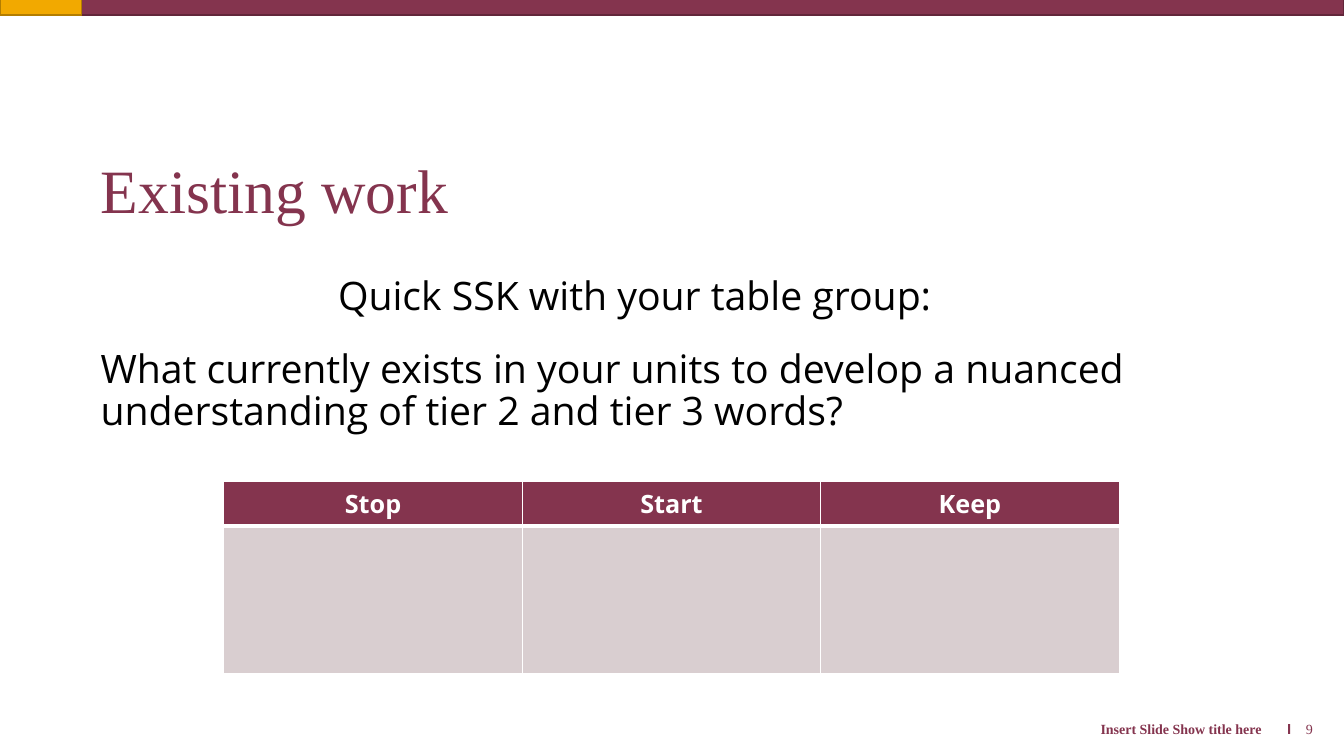
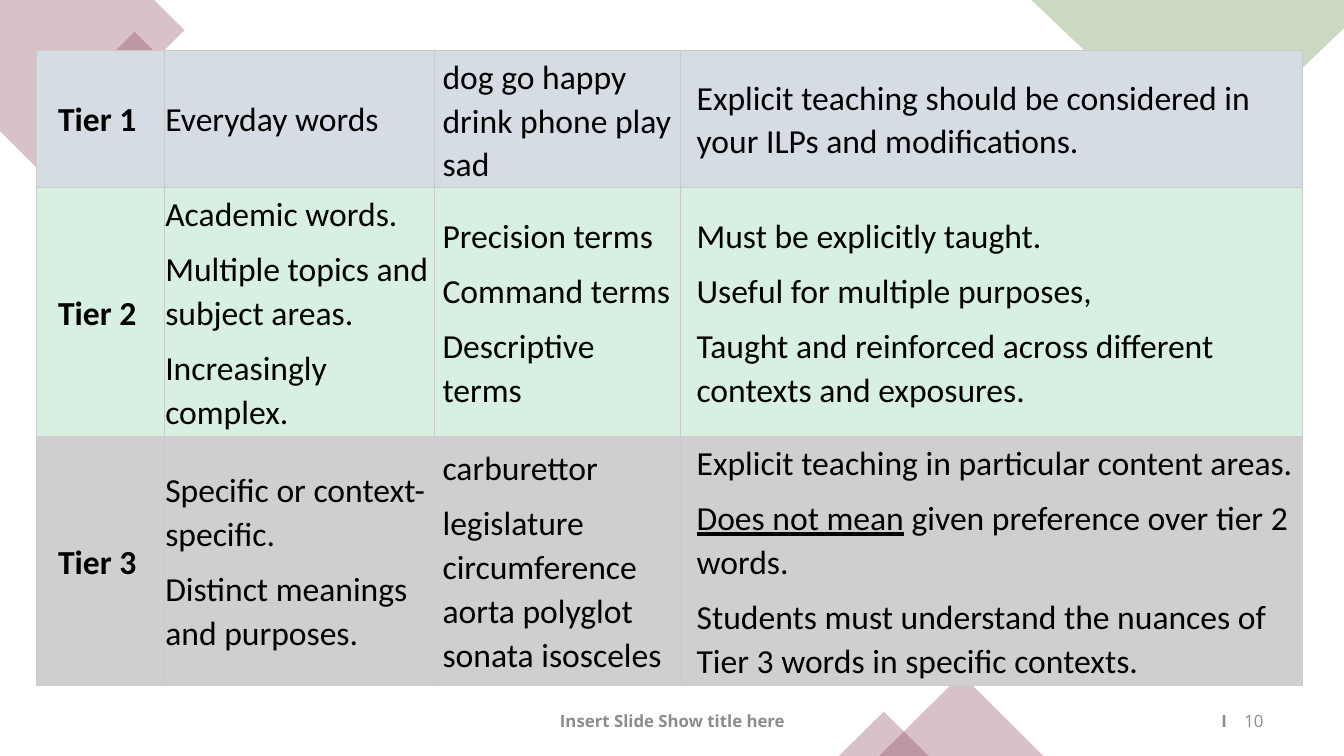
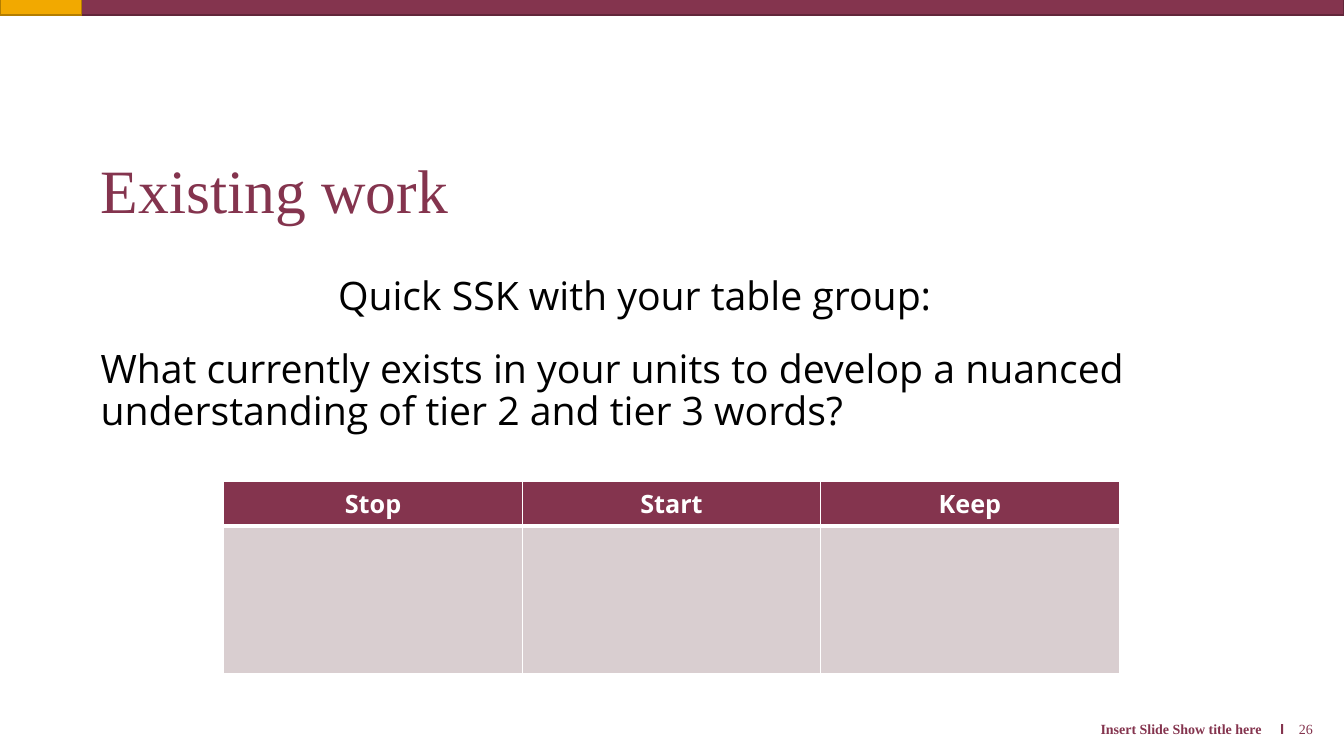
"""Build three slides on tiered vocabulary: two discussion prompts and a tier overview."""
from dataclasses import dataclass, replace

from lxml.etree import SubElement
from pptx import Presentation
from pptx.dml.color import RGBColor
from pptx.enum.shapes import MSO_SHAPE as Shape
from pptx.enum.text import MSO_ANCHOR as Anchor, PP_ALIGN as Align
from pptx.oxml.ns import qn
from pptx.util import Inches, Pt


@dataclass(frozen=True)
class Theme:
    plum: str = "84344E"
    plum_edge: str = "62263A"
    gold: str = "F2A900"
    gold_edge: str = "B37D00"
    green: str = "538135"
    rose: str = "D9CED0"
    white: str = "FFFFFF"
    black: str = "000000"
    grey: str = "8C8C8C"
    rule: str = "C8CACC"
    serif: str = "Times New Roman"
    sans: str = "Open Sans"
    table_font: str = "Calibri"
    title: int = 44
    body: int = 28
    cell: int = 24
    heading: int = 18
    footer: int = 10
    footer_large: int = 12
    tint: int = 30


@dataclass(frozen=True)
class Style:
    font: str
    size: int
    color: str
    bold: bool = False
    underline: bool = False
    tracking: float = 0


@dataclass(frozen=True)
class Layout:
    align: Align = Align.LEFT
    line: float = 1.0
    before: int = 0
    after: int = 0


THEME = Theme()
FOOTER = "Insert Slide Show title here"
TITLE = "Existing work"
PROMPT = [
    ("Quick SSK with your table group:", Align.CENTER),
    ("What currently exists in your units to develop a nuanced "
     "understanding of tier 2 and tier 3 words?", Align.LEFT),
]
CHOICES = ["Stop", "Start", "Keep"]
UNDERLINED = "Does not mean"
TIERS = [
    ("D6DCE4", [
        ["Tier 1"],
        ["Everyday words"],
        ["dog go happy drink phone play sad"],
        ["Explicit teaching should be considered in your ILPs and modifications."],
    ]),
    ("D8F0E1", [
        ["Tier 2"],
        ["Academic words.", "Multiple topics and subject areas.", "Increasingly complex."],
        ["Precision terms", "Command terms", "Descriptive terms"],
        ["Must be explicitly taught.", "Useful for multiple purposes,",
         "Taught and reinforced across different contexts and exposures."],
    ]),
    ("D0CECE", [
        ["Tier 3"],
        ["Specific or context-specific.", "Distinct meanings and purposes."],
        ["carburettor", "legislature circumference aorta polyglot sonata isosceles"],
        ["Explicit teaching in particular content areas.",
         "Does not mean given preference over tier 2 words.",
         "Students must understand the nuances of Tier 3 words in specific contexts."],
    ]),
]
TIER_COLUMNS = [1.27, 2.68, 2.44, 6.17]
TIER_ROWS = [1.36, 2.47, 2.47]
TIER_INDENTS = [0.01, 0.01, 0.08, 0.16]
CORNERS = [
    (THEME.plum, [(0, 0), (1.53, 0), (1.83, 0.3), (0.41, 1.71), (0, 1.3)]),
    (THEME.green, [(10.23, 0), (13.33, 0), (13.33, 0.28), (11.93, 1.62)]),
]
TRIANGLES = [(8.72, 6.69, 1.63, 0.81), (8.32, 7.06, 0.89, 0.44)]


def rgb(color):
    return RGBColor.from_string(color)


def lengths(values):
    return [Inches(value) for value in values]


def paint(shape, color, edge=None, opacity=100):
    shape.shadow.inherit = False
    shape.fill.solid()
    shape.fill.fore_color.rgb = rgb(color)
    if opacity < 100:
        tone = shape.fill._xPr.find(qn("a:solidFill"))[0]
        SubElement(tone, qn("a:alpha")).set("val", str(opacity * 1000))
    if edge:
        shape.line.color.rgb = rgb(edge)
        shape.line.width = Pt(1)
    else:
        shape.line.fill.background()


def write(frame, paragraphs):
    for index, (layout, spans) in enumerate(paragraphs):
        para = frame.add_paragraph() if index else frame.paragraphs[0]
        para.alignment = layout.align
        para.line_spacing = layout.line
        para.space_before = Pt(layout.before if index else 0)
        para.space_after = Pt(layout.after)
        for text, style in spans:
            span = para.add_run()
            span.text = text
            span.font.name = style.font
            span.font.size = Pt(style.size)
            span.font.bold = style.bold
            span.font.underline = style.underline
            span.font.color.rgb = rgb(style.color)
            if style.tracking:
                span._r.get_or_add_rPr().set("spc", str(round(style.tracking * 100)))


def add_text(page, at, anchor, paragraphs):
    frame = page.shapes.add_textbox(*lengths(at)).text_frame
    frame.word_wrap = True
    frame.vertical_anchor = anchor
    write(frame, paragraphs)


def add_footer(page, number, title_at, number_at, title_align, title_style, number_font):
    add_text(page, title_at, Anchor.MIDDLE, [(Layout(title_align), [(FOOTER, title_style)])])
    divider = replace(title_style, font=THEME.sans, tracking=1.04 * title_style.size)
    digits = replace(title_style, font=number_font, bold=False)
    add_text(page, number_at, Anchor.MIDDLE,
             [(Layout(Align.RIGHT), [("I", divider), (str(number), digits)])])


def add_grid(page, left, top, columns, rows):
    size = lengths((left, top, sum(columns), sum(rows)))
    table = page.shapes.add_table(len(rows), len(columns), *size).table
    table.first_row = table.horz_banding = False
    for column, width in zip(table.columns, columns):
        column.width = Inches(width)
    for row, height in zip(table.rows, rows):
        row.height = Inches(height)
    return table


def dress(cell, fill, border, top=1, bottom=1):
    properties = cell._tc.get_or_add_tcPr()
    for side, width in (("L", 1), ("R", 1), ("T", top), ("B", bottom)):
        line = SubElement(properties, qn(f"a:ln{side}"), w=str(Pt(width)))
        SubElement(SubElement(line, qn("a:solidFill")), qn("a:srgbClr"), val=border)
    cell.fill.solid()
    cell.fill.fore_color.rgb = rgb(fill)


def add_bands(page):
    for left, width, fill, edge in ((0.01, 13.32, THEME.plum, THEME.plum_edge),
                                    (0, 0.81, THEME.gold, THEME.gold_edge)):
        band = page.shapes.add_shape(Shape.RECTANGLE, *lengths((left, -0.02, width, 0.17)))
        paint(band, fill, edge)


def add_prompt_page(page, number):
    add_bands(page)
    title = Style(THEME.serif, THEME.title, THEME.plum)
    add_text(page, (0.9, 0.73, 10.79, 1.57), Anchor.BOTTOM,
             [(Layout(line=0.9), [(TITLE, title)])])
    body = Style(THEME.sans, THEME.body, THEME.black)
    add_text(page, (0.9, 2.41, 10.79, 2.23), Anchor.MIDDLE,
             [(Layout(align, 0.9, 10, 12), [(text, body)]) for text, align in PROMPT])
    add_footer(page, number, (0.21, 7.13, 12.4, 0.21), (12.55, 7.13, 0.57, 0.21),
               Align.RIGHT, Style(THEME.serif, THEME.footer, THEME.plum, True), THEME.serif)
    table = add_grid(page, 2.22, 4.78, [2.96] * len(CHOICES), [0.44, 1.46])
    heading = Style(THEME.sans, THEME.heading, THEME.white, True)
    for index, choice in enumerate(CHOICES):
        header, answer = table.cell(0, index), table.cell(1, index)
        dress(header, THEME.plum, THEME.white, bottom=3)
        dress(answer, THEME.rose, THEME.white, top=3)
        write(header.text_frame, [(Layout(Align.CENTER), [(choice, heading)])])


def tier_spans(text, style):
    if text.startswith(UNDERLINED):
        return [(UNDERLINED, replace(style, underline=True)),
                (text.removeprefix(UNDERLINED), style)]
    return [(text, style)]


def add_tier_page(page, number):
    for color, points in CORNERS:
        start, *others = [lengths(point) for point in points]
        builder = page.shapes.build_freeform(*start)
        builder.add_line_segments(others, close=True)
        paint(builder.convert_to_shape(), color, opacity=THEME.tint)
    diamond = page.shapes.add_shape(Shape.RECTANGLE, *lengths((0.98, 0.46, 0.71, 0.71)))
    diamond.rotation = 315
    paint(diamond, THEME.plum, opacity=THEME.tint)
    add_footer(page, number, (4.42, 6.95, 4.5, 0.4), (9.63, 6.95, 3, 0.4), Align.CENTER,
               Style(THEME.sans, THEME.footer_large, THEME.grey, True), THEME.sans)
    for at in TRIANGLES:
        triangle = page.shapes.add_shape(Shape.ISOSCELES_TRIANGLE, *lengths(at))
        paint(triangle, THEME.plum, opacity=THEME.tint)
    table = add_grid(page, 0.36, 0.5, TIER_COLUMNS, TIER_ROWS)
    for row, (fill, entries) in enumerate(TIERS):
        for column, texts in enumerate(entries):
            is_label = column == 0
            cell = table.cell(row, column)
            dress(cell, fill, THEME.rule)
            cell.vertical_anchor = Anchor.MIDDLE
            cell.margin_left = Inches(TIER_INDENTS[column])
            cell.margin_right = Inches(0.07 if is_label else 0.01)
            cell.margin_top = cell.margin_bottom = Inches(0.04)
            style = Style(THEME.table_font, THEME.cell, THEME.black, is_label)
            layout = Layout(Align.CENTER if is_label else Align.LEFT, 1.07, after=8)
            write(cell.text_frame, [(layout, tier_spans(text, style)) for text in texts])


def main():
    deck = Presentation()
    deck.slide_width, deck.slide_height = Inches(13.33), Inches(7.5)
    blank = deck.slide_layouts[6]
    for build, number in ((add_prompt_page, 9), (add_tier_page, 10), (add_prompt_page, 26)):
        build(deck.slides.add_slide(blank), number)
    deck.save("out.pptx")


if __name__ == "__main__":
    main()
